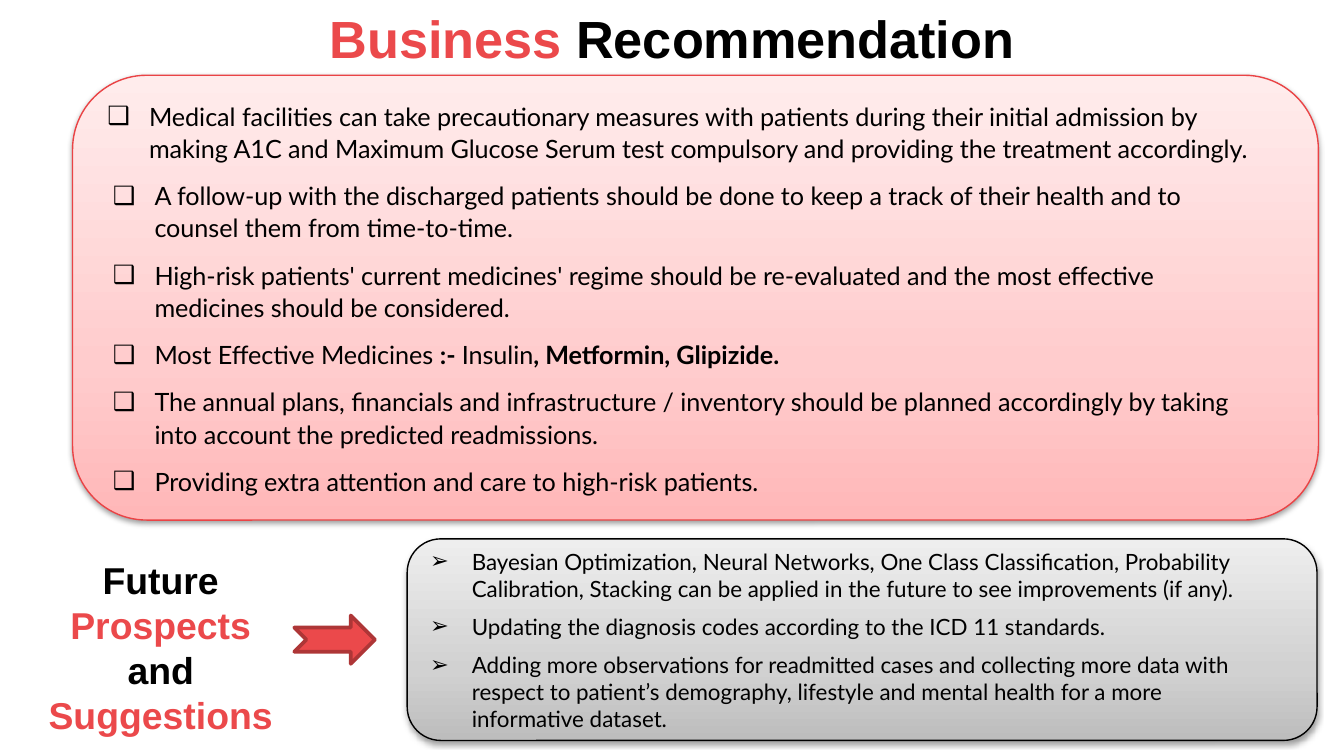
"""Build the business recommendation slide with its two gradient panels."""
from dataclasses import dataclass

from lxml import etree
from pptx import Presentation
from pptx.dml.color import RGBColor
from pptx.enum.shapes import MSO_SHAPE as Shape
from pptx.enum.text import MSO_ANCHOR as Anchor, MSO_AUTO_SIZE as AutoSize, PP_ALIGN as Align
from pptx.oxml import parse_xml
from pptx.oxml.ns import nsdecls, qn
from pptx.util import Inches, Pt

COLORS = {
    "black": "000000",
    "white": "FFFFFF",
    "red": "EB494B",
    "arrow_edge": "AE3637",
    "panel_edge": "EA4345",
}
RED_GRADIENT = ((0, "FFB7B8"), (35, "FFCCCD"), (100, "FFECEC"))
GREY_GRADIENT = ((0, "BDBDBD"), (35, "D1D1D1"), (100, "EEEEEE"))
HANGING = 0.31
SLIDE_WIDTH = 10


@dataclass(frozen=True)
class Span:
    text: str
    color: str = "black"
    bold: bool = False


@dataclass(frozen=True)
class Bullet:
    spans: tuple[Span, ...]
    margin: float = HANGING


@dataclass(frozen=True)
class Panel:
    area: tuple[float, float, float, float]
    gradient: tuple[tuple[int, str], ...]
    edge: str
    symbol: str
    size: float
    line_spacing: float
    space_after: float
    bullets: tuple[Bullet, ...]


RECOMMENDATIONS = Panel(
    (0.54, 0.56, 9.27, 3.31), RED_GRADIENT, "panel_edge", "❑", 13.5, 1.07, 8,
    (
        Bullet((Span("Medical facilities can take precautionary measures with patients during their "
                     "initial admission by\nmaking A1C and Maximum Glucose Serum test compulsory and "
                     "providing the treatment accordingly."),)),
        Bullet((Span("A follow-up with the discharged patients should be done to keep a track of their "
                     "health and to\ncounsel them from time-to-time."),), 0.35),
        Bullet((Span("High-risk patients' current medicines' regime should be re-evaluated and the most "
                     "effective\nmedicines should be considered."),), 0.35),
        Bullet((Span("Most Effective Medicines "), Span(":- ", bold=True), Span("Insulin"),
                Span(", Metformin, Glipizide.", bold=True)), 0.35),
        Bullet((Span("The annual plans, financials and infrastructure / inventory should be planned "
                     "accordingly by taking\ninto account the predicted readmissions."),), 0.35),
        Bullet((Span("Providing extra attention and care to high-risk patients."),), 0.35),
    ),
)
PROSPECTS = Panel(
    (3.03, 4.01, 6.77, 1.5), GREY_GRADIENT, "black", "➢", 12, 1.0, 6,
    (
        Bullet((Span("Bayesian Optimization, Neural Networks, One Class Classification, Probability\n"
                     "Calibration, Stacking can be applied in the future to see improvements (if any)."),)),
        Bullet((Span("Updating the diagnosis codes according to the ICD 11 standards."),)),
        Bullet((Span("Adding more observations for readmitted cases and collecting more data with\n"
                     "respect to patient’s demography, lifestyle and mental health for a more\n"
                     "informative dataset."),)),
    ),
)
TITLE = (Span("Business", "red", True), Span(" Recommendation", bold=True))
PROSPECTS_LABEL = (
    Span("Future \n", bold=True), Span("Prospects \n", "red", True),
    Span("and \n", bold=True), Span("Suggestions ", "red", True),
)


def rgb(name: str) -> RGBColor:
    """Return the named palette colour."""
    return RGBColor.from_string(COLORS[name])


def write(para, text: str, *, size: float, font: str, color: str = "black",
          bold: bool = False, outline: bool = False) -> None:
    """Add formatted text, turning each newline into a line break."""
    for index, piece in enumerate(text.split("\n")):
        if index:
            para.add_line_break()
        if not piece:
            continue
        run = para.add_run()
        run.text = piece
        run.font.size, run.font.name, run.font.bold = Pt(size), font, bold
        run.font.color.rgb = rgb(color)
        if outline:
            run.font._element.insert(0, parse_xml(
                f'<a:ln {nsdecls("a")} w="{Pt(0.75)}"><a:solidFill>'
                f'<a:srgbClr val="{COLORS["white"]}"/></a:solidFill></a:ln>'))


def add_heading(page, area: tuple[float, float, float, float], spans: tuple[Span, ...],
                size: float, wrap: bool) -> None:
    """Add a centred heading in several colours."""
    box = page.shapes.add_textbox(*map(Inches, area))
    frame = box.text_frame
    frame.word_wrap = wrap
    frame.auto_size = AutoSize.SHAPE_TO_FIT_TEXT
    para = frame.paragraphs[0]
    para.alignment = Align.CENTER
    for span in spans:
        write(para, span.text, size=size, font="Arial", color=span.color,
              bold=span.bold, outline=True)


def style_panel(box, gradient: tuple[tuple[int, str], ...]) -> None:
    """Give a panel its upward gradient and soft drop shadow."""
    properties = box._element.spPr
    stops = "".join(f'<a:gs pos="{position * 1000}"><a:srgbClr val="{color}"/></a:gs>'
                    for position, color in gradient)
    properties.find(qn("a:prstGeom")).addnext(parse_xml(
        f'<a:gradFill {nsdecls("a")} rotWithShape="1"><a:gsLst>{stops}</a:gsLst>'
        '<a:lin ang="16200000" scaled="0"/></a:gradFill>'))
    box.shadow.inherit = False
    properties.find(qn("a:effectLst")).append(parse_xml(
        f'<a:outerShdw {nsdecls("a")} blurRad="{Pt(3.1)}" dist="{Pt(1.6)}" dir="5400000" '
        f'rotWithShape="0"><a:srgbClr val="{COLORS["black"]}"><a:alpha val="38000"/>'
        '</a:srgbClr></a:outerShdw>'))


def set_bullet(para, symbol: str, margin: float) -> None:
    """Give a paragraph a hanging bullet."""
    properties = para._p.get_or_add_pPr()
    properties.set("marL", str(Inches(margin)))
    properties.set("indent", str(Inches(-HANGING)))
    etree.SubElement(properties, qn("a:buFont")).set("typeface", "Arial")
    etree.SubElement(properties, qn("a:buChar")).set("char", symbol)


def add_panel(page, panel: Panel) -> None:
    """Draw a rounded panel with its bullet list."""
    box = page.shapes.add_shape(Shape.ROUNDED_RECTANGLE, *map(Inches, panel.area))
    style_panel(box, panel.gradient)
    box.line.color.rgb, box.line.width = rgb(panel.edge), Pt(0.75)
    frame = box.text_frame
    frame.word_wrap, frame.vertical_anchor = True, Anchor.MIDDLE
    for index, bullet in enumerate(panel.bullets):
        para = frame.add_paragraph() if index else frame.paragraphs[0]
        para.alignment = Align.LEFT
        para.line_spacing = panel.line_spacing
        is_last = index == len(panel.bullets) - 1
        para.space_after = Pt(0 if is_last else panel.space_after)
        set_bullet(para, panel.symbol, bullet.margin)
        for span in bullet.spans:
            write(para, span.text, size=panel.size, font="Lato", color=span.color, bold=span.bold)


def add_arrow(page) -> None:
    """Draw the notched arrow that points to the prospects panel."""
    arrow = page.shapes.add_shape(Shape.NOTCHED_RIGHT_ARROW, *map(Inches, (2.19, 4.58, 0.6, 0.36)))
    arrow.shadow.inherit = False
    arrow.fill.solid()
    arrow.fill.fore_color.rgb = rgb("red")
    arrow.line.color.rgb, arrow.line.width = rgb("arrow_edge"), Pt(2)


def main() -> None:
    """Build and save the deck."""
    deck = Presentation()
    deck.slide_width, deck.slide_height = Inches(SLIDE_WIDTH), Inches(SLIDE_WIDTH * 9 / 16)
    page = deck.slides.add_slide(deck.slide_layouts[6])
    add_heading(page, (2.32, 0, 5.36, 0.57), TITLE, 28, False)
    add_panel(page, RECOMMENDATIONS)
    add_heading(page, (0.2, 4.1, 2.07, 1.45), PROSPECTS_LABEL, 20, True)
    add_panel(page, PROSPECTS)
    add_arrow(page)
    deck.save("out.pptx")


if __name__ == "__main__":
    main()
